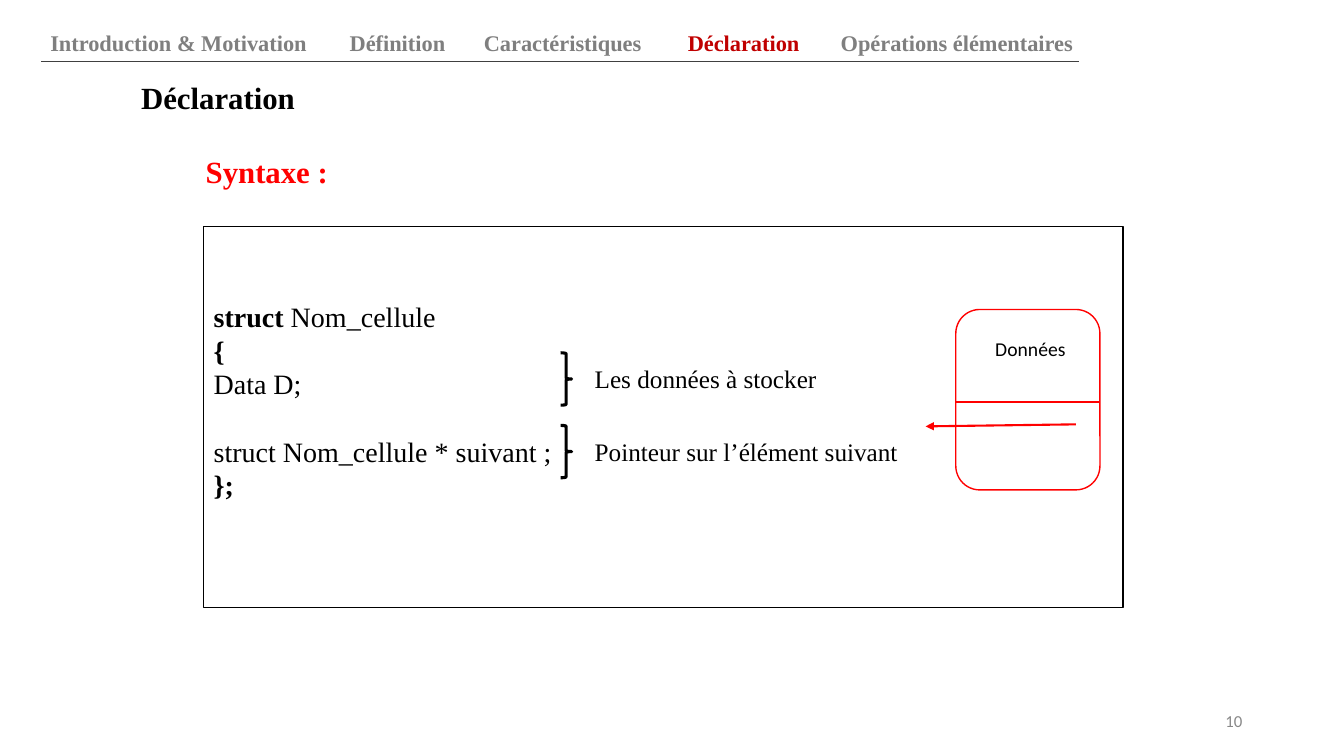
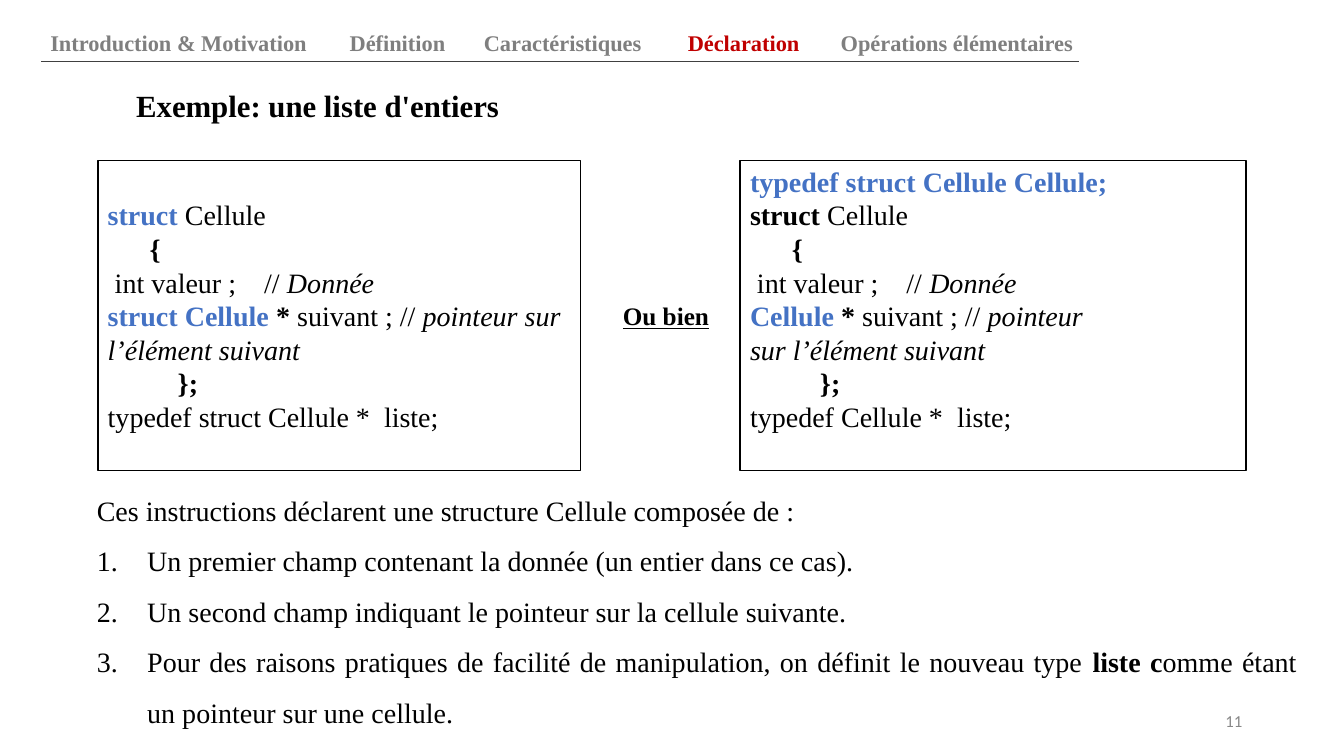
from lxml.etree import SubElement
from pptx import Presentation
from pptx.dml.color import RGBColor
from pptx.enum.shapes import MSO_CONNECTOR as Connector, MSO_SHAPE as Shape
from pptx.enum.text import MSO_ANCHOR as Anchor, MSO_AUTO_SIZE as AutoSize, PP_ALIGN as Align
from pptx.oxml.ns import qn
from pptx.util import Inches, Pt

# Shared style
SERIF, SANS = "Times New Roman", "Calibri"
BLACK, WHITE, RED, BLUE = "000000", "FFFFFF", "FF0000", "4472C4"
GREY, ACTIVE, RULE, NUMBER = "7F7F7F", "C00000", "404040", "888888"
TITLE_SIZE, CODE_SIZE, LABEL_SIZE, NAV_SIZE = 22, 20, 18, 16
BLANK_LINE = 24  # points

# Navigation: label, left, width
NAV = [
    ("Introduction & Motivation", 0.4, 2.98),
    ("Définition", 3.37, 1.24),
    ("Caractéristiques", 4.7, 1.91),
    ("Déclaration", 6.7, 1.35),
    ("Opérations élémentaires", 8.24, 2.64),
]
CURRENT = "Déclaration"

# Content: each line is a list of (text, style); b bold, i italic, u underlined, k blue
SYNTAX = [
    [("struct", "b"), (" Nom_cellule", "")],
    [("{", "b")],
    [("Data D;", "")],
    [("struct Nom_cellule * suivant ;", "")],
    [("};", "b")],
]
BRACE_LABELS = ["Les données à stocker", "Pointeur sur l’élément suivant"]

VALUE_LINES = [
    [("      {", "b")],
    [(" int valeur ;    // ", ""), ("Donnée", "i")],
]
CLOSING = [("          };", "b")]
POINTER = [("* ", "b"), ("suivant ; // ", ""), ("pointeur sur l’élément suivant", "i")]
STRUCT_CODE = [
    [("struct ", "bk"), ("Cellule", "")],
    *VALUE_LINES,
    [("struct Cellule ", "bk"), *POINTER],
    CLOSING,
    [("typedef struct Cellule *  liste;", "")],
]
TYPEDEF_CODE = [
    [("typedef struct Cellule Cellule;", "bk")],
    [("struct", "b"), (" Cellule", "")],
    *VALUE_LINES,
    [("Cellule ", "bk"), *POINTER],
    CLOSING,
    [("typedef Cellule *  liste;", "")],
]
EXPLANATION = [
    [("Ces instructions déclarent une structure Cellule composée de :", "")],
    [("Un premier champ contenant la donnée (un entier dans ce cas).", "")],
    [("Un second champ indiquant le pointeur sur la cellule suivante.", "")],
    [("Pour des raisons pratiques de facilité de manipulation, on définit "
      "le nouveau type ", ""), ("liste c", "b"),
     ("omme étant un pointeur sur une cellule.", "")],
]


def color(code):
    return RGBColor.from_string(code)


def place(shape, left, top, width, height):
    shape.left, shape.top = Inches(left), Inches(top)
    shape.width, shape.height = Inches(width), Inches(height)


def write(shape, lines, size, ink=BLACK, font=SERIF, align=Align.LEFT,
          anchor=Anchor.TOP, spacing=1.0, numbered=False):
    """Fill a shape with styled lines; when numbered, all but the first are list items."""
    frame = shape.text_frame
    frame.word_wrap = True
    frame.auto_size = AutoSize.NONE
    frame.vertical_anchor = anchor
    for index, line in enumerate(lines):
        para = frame.paragraphs[0] if index == 0 else frame.add_paragraph()
        item = numbered and index > 0
        properties = para._p.get_or_add_pPr()
        properties.set("marL", str(Inches(0.5 if item else 0)))
        properties.set("indent", str(Inches(-0.5 if item else 0)))
        if item:
            SubElement(properties, qn("a:buFont"), typeface="+mj-lt")
            SubElement(properties, qn("a:buAutoNum"), type="arabicPeriod")
        else:
            SubElement(properties, qn("a:buNone"))
        para.alignment = align
        para.line_spacing = spacing
        para.space_before = Pt(0)
        for text, style in line:
            span = para.add_run()
            span.text = text
            span.font.name, span.font.size = font, Pt(size)
            span.font.bold = "b" in style
            span.font.italic = "i" in style
            span.font.underline = "u" in style
            span.font.color.rgb = color(BLUE if "k" in style else ink)


def add_label(shapes, text, area, size, style="", **options):
    box = shapes.add_textbox(*map(Inches, area))
    write(box, [[(text, style)]], size, **options)


def add_outline(shapes, kind, area, ink, width, fill=None):
    shape = shapes.add_shape(kind, *map(Inches, area))
    shape.shadow.inherit = False
    if fill:
        shape.fill.solid()
        shape.fill.fore_color.rgb = color(fill)
    else:
        shape.fill.background()
    shape.line.color.rgb = color(ink)
    shape.line.width = Pt(width)
    return shape


def add_line(shapes, start, end, ink, width, arrow=False):
    line = shapes.add_connector(Connector.STRAIGHT, *map(Inches, start + end))
    line.line.color.rgb = color(ink)
    line.line.width = Pt(width)
    if arrow:
        SubElement(line.line._get_or_add_ln(), qn("a:tailEnd"), type="triangle")
    SubElement(line._element.spPr, qn("a:effectLst"))


def add_code(shapes, area, lines, blank_below=False):
    box = add_outline(shapes, Shape.RECTANGLE, area, BLACK, 1)
    write(box, lines, CODE_SIZE, anchor=Anchor.MIDDLE)
    if blank_below:
        box.text_frame.margin_bottom = Inches(0.05) + Pt(BLANK_LINE)
    return box


def add_page(deck, number, title, left, top):
    """New slide with title, navigation band and slide number."""
    page = deck.slides.add_slide(deck.slide_layouts[1])
    place(page.shapes.title, left, top, 9, 0.52)
    write(page.shapes.title, [[(title, "b")]], TITLE_SIZE, anchor=Anchor.MIDDLE, spacing=0.9)
    for label, nav_left, width in NAV:
        current = label == CURRENT
        add_label(page.shapes, label, (nav_left, 0.19, width, 0.41), NAV_SIZE, "b",
                  ink=ACTIVE if current else GREY, anchor=Anchor.BOTTOM,
                  align=Align.CENTER if current else Align.LEFT)
    add_line(page.shapes, (0.41, 0.61), (10.7, 0.61), RULE, 0.75)
    add_label(page.shapes, str(number), (9.42, 6.95, 3, 0.4), 12, ink=NUMBER,
              font=SANS, align=Align.RIGHT, anchor=Anchor.MIDDLE)
    return page


def add_cell_diagram(page):
    left, top, width, height = 9.48, 3.07, 1.43, 1.79
    shapes = page.shapes.add_group_shape().shapes
    add_outline(shapes, Shape.ROUNDED_RECTANGLE, (left, top, width, height), RED, 1, WHITE)
    add_line(shapes, (left, 3.99), (left + width, 3.99), RED, 1.5)
    add_label(shapes, "Données", (left + 0.05, 3.29, width - 0.05, 0.34), 14,
              font=SANS, align=Align.CENTER)
    add_line(shapes, (10.67, 4.21), (9.18, 4.23), RED, 1.5, arrow=True)


def build_syntax(deck):
    page = add_page(deck, 10, "Déclaration", 1.3, 0.73)
    body = page.placeholders[1]
    place(body, 1.94, 1.44, 9.22, 0.52)
    write(body, [[("Syntaxe :", "b")]], TITLE_SIZE, ink=RED, anchor=Anchor.MIDDLE)
    code = add_code(page.shapes, (2.02, 2.25, 9.12, 3.78), SYNTAX, blank_below=True)
    code.text_frame.paragraphs[3].space_before = Pt(BLANK_LINE)
    for row, label in enumerate(BRACE_LABELS):
        top = 3.5 + 0.72 * row
        add_outline(page.shapes, Shape.RIGHT_BRACE, (5.56, top, 0.11, 0.52), BLACK, 2.25)
        add_label(page.shapes, label, (5.8, top + 0.06, 3.55, 0.4), LABEL_SIZE)
    add_cell_diagram(page)


def build_example(deck):
    page = add_page(deck, 11, "Exemple: une liste d'entiers", 1.25, 0.81)
    top, height = 1.59, 3.08
    add_code(page.shapes, (0.97, top, 4.79, height), STRUCT_CODE)
    typedef = add_code(page.shapes, (7.34, top, 5.02, height), TYPEDEF_CODE, blank_below=True)
    typedef.text_frame.margin_right = Inches(1.25)
    add_label(page.shapes, "Ou bien", (6.08, 2.93, 1.24, 0.4), LABEL_SIZE, "bu")
    body = page.placeholders[1]
    place(body, 0.86, 4.68, 12.1, 2.56)
    write(body, EXPLANATION, CODE_SIZE, align=Align.JUSTIFY, spacing=1.5, numbered=True)


def main():
    deck = Presentation()
    deck.slide_width, deck.slide_height = Inches(13.33), Inches(7.5)
    build_syntax(deck)
    build_example(deck)
    deck.save("out.pptx")


if __name__ == "__main__":
    main()
